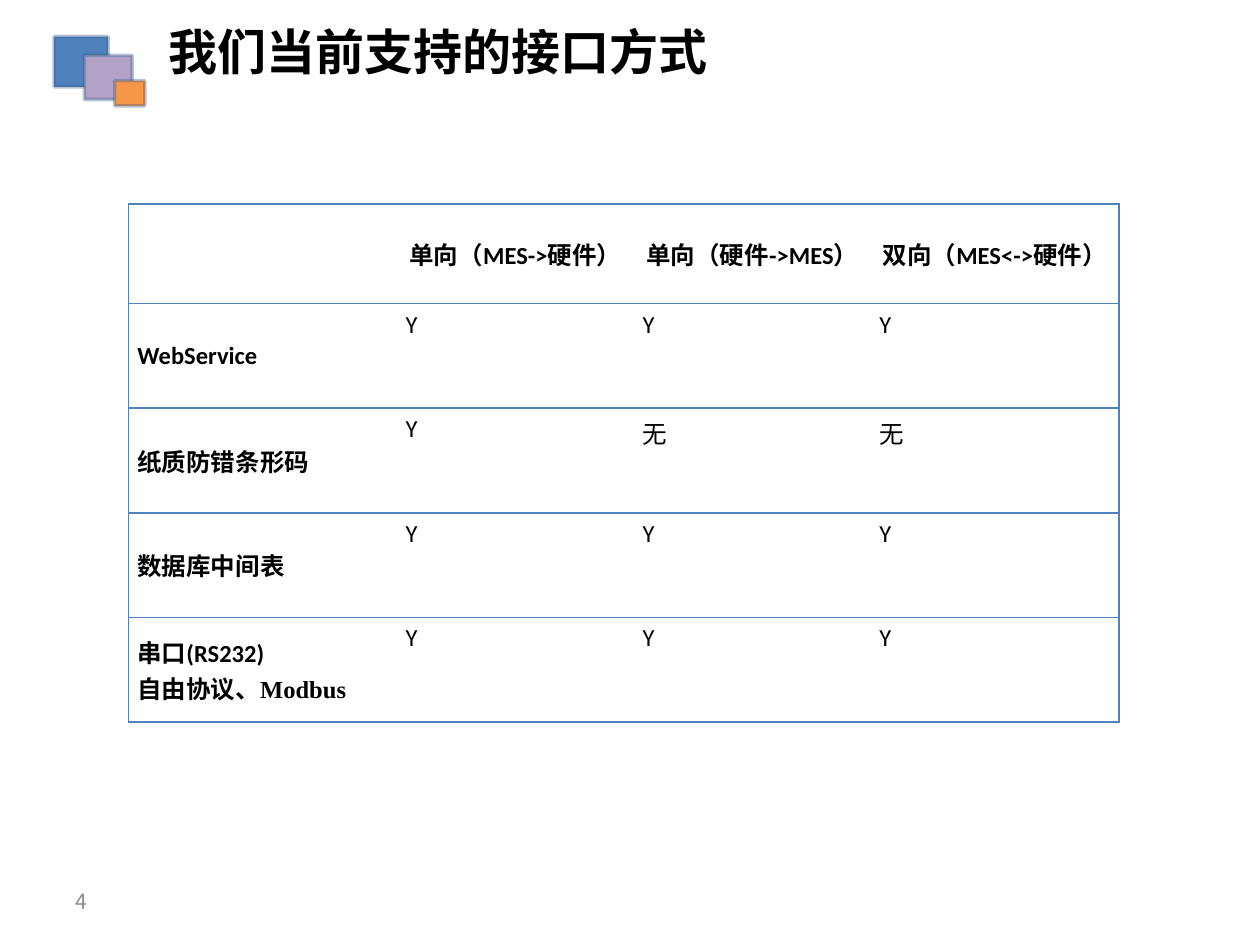
from lxml import etree
from pptx import Presentation
from pptx.dml.color import RGBColor
from pptx.enum.shapes import MSO_SHAPE
from pptx.enum.text import MSO_ANCHOR, PP_ALIGN
from pptx.oxml.ns import qn
from pptx.util import Inches, Pt

RECTANGLE = MSO_SHAPE.RECTANGLE
TOP, MIDDLE = MSO_ANCHOR.TOP, MSO_ANCHOR.MIDDLE
LEFT, CENTER, JUSTIFY = PP_ALIGN.LEFT, PP_ALIGN.CENTER, PP_ALIGN.JUSTIFY

TITLE_ONLY_LAYOUT = 5
CHINESE_FONT = "Noto Sans CJK SC"
LATIN_FONT = "Calibri"
BLACK, WHITE, GREY, BLUE = "000000", "FFFFFF", "8C8C8C", "4F81BD"

SQUARES = [
    (0.43, 0.29, 0.43, 0.40, BLUE),
    (0.67, 0.44, 0.38, 0.35, "B3A2C7"),
    (0.91, 0.64, 0.24, 0.20, "F79646"),
]
COLUMN_WIDTHS = [2.13, 1.88, 1.88, 1.97]
ROW_HEIGHTS = [0.79, 0.83, 0.83, 0.83, 0.83]
INTERFACES = [
    ["", "单向（MES->硬件）", "单向（硬件->MES）", "双向（MES<->硬件）"],
    ["WebService", "Y", "Y", "Y"],
    ["纸质防错条形码", "Y", "无", "无"],
    ["数据库中间表", "Y", "Y", "Y"],
    ["串口(RS232)\n自由协议、Modbus", "Y", "Y", "Y"],
]


def color(value):
    return RGBColor.from_string(value)


def format_paragraph(paragraph, size, text_color, bold, alignment, latin=LATIN_FONT):
    paragraph.alignment = alignment
    font = paragraph.font
    font.name, font.size, font.bold = latin, Pt(size), bold
    font.color.rgb = color(text_color)
    properties = paragraph._p.pPr.find(qn("a:defRPr"))
    east_asian = etree.SubElement(properties, qn("a:ea"))
    east_asian.set("typeface", CHINESE_FONT)


def add_title(slide, text):
    title = slide.shapes.title
    title.left, title.top = Inches(1.24), Inches(0.12)
    title.width, title.height = Inches(7.48), Inches(0.57)
    title.text_frame.text = text
    title.text_frame.vertical_anchor = MIDDLE
    format_paragraph(title.text_frame.paragraphs[0], 28, BLACK, True, LEFT, CHINESE_FONT)


def add_squares(slide):
    group = slide.shapes.add_group_shape()
    for left, top, width, height, fill in SQUARES:
        square = group.shapes.add_shape(
            RECTANGLE, Inches(left), Inches(top), Inches(width), Inches(height))
        square.shadow.inherit = False
        square.fill.solid()
        square.fill.fore_color.rgb = color(fill)
        square.line.width = Pt(2)
        square.line.color.rgb = color("3A5F8C")
        line_color = square.line._ln.find(".//" + qn("a:srgbClr"))
        etree.SubElement(line_color, qn("a:alpha")).set("val", "37000")


def set_borders(cell, visible_sides):
    properties = cell._tc.get_or_add_tcPr()
    for side in "LRTB":
        line = etree.SubElement(properties, qn(f"a:ln{side}"))
        if side in visible_sides:
            line.set("w", str(Pt(1)))
            fill = etree.SubElement(line, qn("a:solidFill"))
            etree.SubElement(fill, qn("a:srgbClr")).set("val", BLUE)
        else:
            line.set("w", "0")
            etree.SubElement(line, qn("a:noFill"))


def fill_cell(cell, text, is_header, is_label):
    cell.margin_left = cell.margin_right = Inches(0.07)
    cell.margin_top = cell.margin_bottom = Inches(0.05)
    cell.vertical_anchor = MIDDLE if is_header or is_label else TOP
    cell.text = text
    for paragraph in cell.text_frame.paragraphs:
        latin = "Times New Roman" if "Modbus" in paragraph.text else LATIN_FONT
        format_paragraph(paragraph, 14, BLACK, is_header or is_label,
                         CENTER if is_header else JUSTIFY, latin)


def add_interface_table(slide):
    table = slide.shapes.add_table(
        len(ROW_HEIGHTS), len(COLUMN_WIDTHS), Inches(1.02), Inches(1.62),
        Inches(sum(COLUMN_WIDTHS)), Inches(sum(ROW_HEIGHTS))).table
    table.first_row = table.horz_banding = False
    for column, width in zip(table.columns, COLUMN_WIDTHS):
        column.width = Inches(width)
    for row, height in zip(table.rows, ROW_HEIGHTS):
        row.height = Inches(height)

    outer_sides = {0: "L", len(COLUMN_WIDTHS) - 1: "R"}
    for row_index, texts in enumerate(INTERFACES):
        for column_index, text in enumerate(texts):
            cell = table.cell(row_index, column_index)
            fill_cell(cell, text, row_index == 0, column_index == 0)
            set_borders(cell, "TB" + outer_sides.get(column_index, ""))
            cell.fill.solid()
            cell.fill.fore_color.rgb = color(WHITE)


def add_slide_number(slide, number):
    box = slide.shapes.add_textbox(Inches(0.5), Inches(6.95), Inches(2.33), Inches(0.4))
    box.text_frame.word_wrap = True
    box.text_frame.vertical_anchor = MIDDLE
    box.text_frame.text = number
    format_paragraph(box.text_frame.paragraphs[0], 12, GREY, False, LEFT, CHINESE_FONT)


def main():
    presentation = Presentation()
    presentation.slide_width, presentation.slide_height = Inches(10), Inches(7.5)
    slide = presentation.slides.add_slide(presentation.slide_layouts[TITLE_ONLY_LAYOUT])
    add_slide_number(slide, "4")
    add_squares(slide)
    add_title(slide, "我们当前支持的接口方式")
    add_interface_table(slide)
    presentation.save("out.pptx")


if __name__ == "__main__":
    main()
